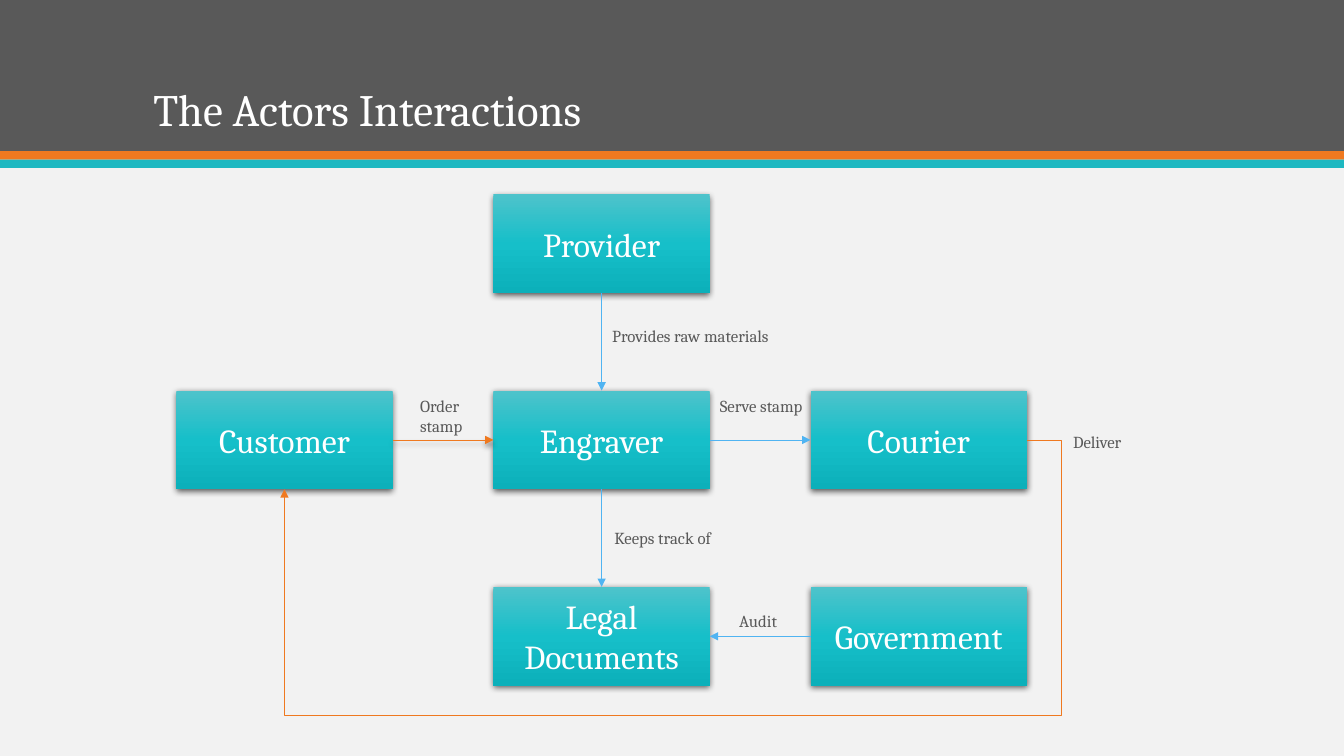
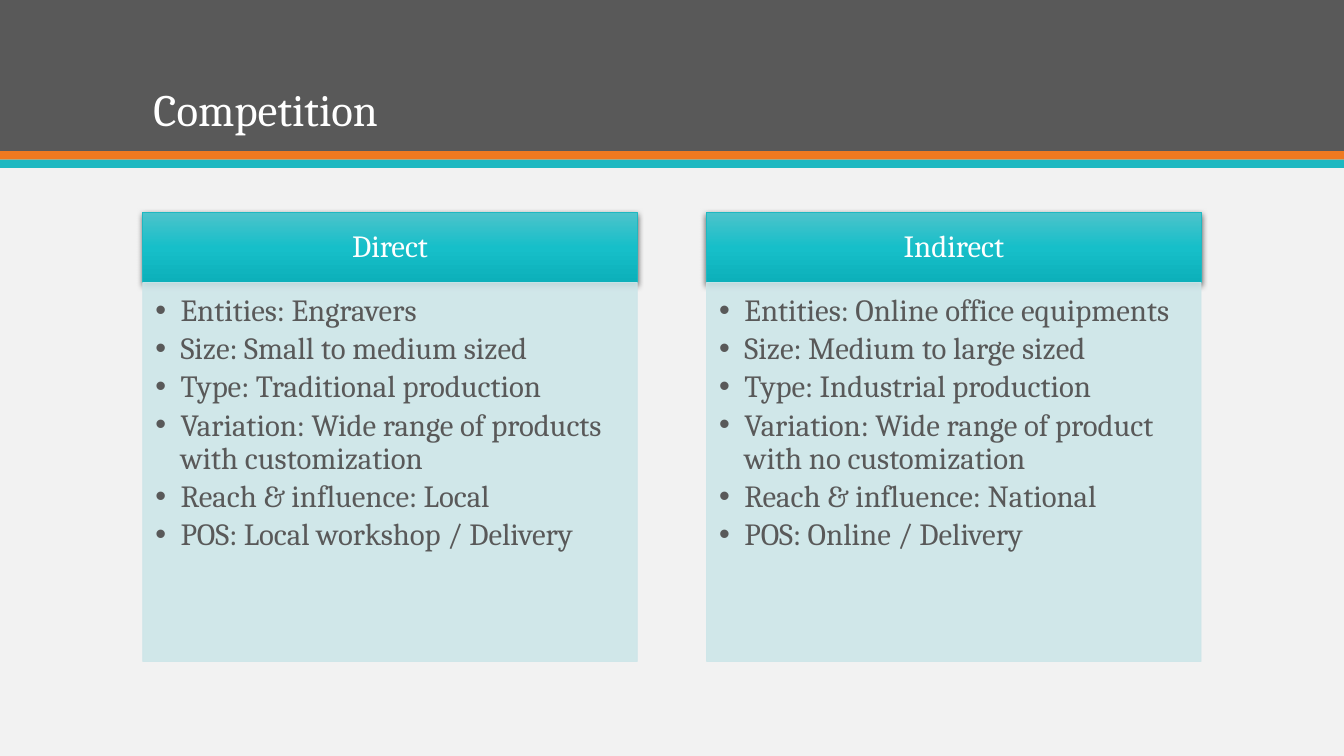
from copy import deepcopy
from dataclasses import dataclass

from lxml import etree
from pptx import Presentation
from pptx.dml.color import RGBColor
from pptx.enum.shapes import MSO_CONNECTOR, MSO_SHAPE
from pptx.enum.text import MSO_ANCHOR, PP_ALIGN
from pptx.oxml.ns import qn
from pptx.util import Emu, Pt

RECT = MSO_SHAPE.RECTANGLE
STRAIGHT, ELBOW = MSO_CONNECTOR.STRAIGHT, MSO_CONNECTOR.ELBOW
LEFT, CENTER = PP_ALIGN.LEFT, PP_ALIGN.CENTER
TOP, MIDDLE, BOTTOM = MSO_ANCHOR.TOP, MSO_ANCHOR.MIDDLE, MSO_ANCHOR.BOTTOM
SITE_TOP, SITE_LEFT, SITE_BOTTOM, SITE_RIGHT = range(4)

FONT = "Cambria"
GREY, ORANGE, TEAL, BLUE = "595959", "EF7920", "1EB8C1", "50B4F2"
WHITE, PAPER, MIST = "FFFFFF", "F2F2F2", "CDE6E9"
GRADIENT = ((0, "4EC3CB"), (0.5, "16BFC9"), (1, "0CB0BA"))
BANDS = ((0, 144, GREY), (144, 8, ORANGE), (152, 8, TEAL))
SLIDE_W, SLIDE_H = 1280, 720

GRID_X, GRID_Y, STEP_X, STEP_Y = 168, 185, 302, 187
BOX_W, BOX_H = 206, 94
LOOP_X, LOOP_Y = 1011, 681

PANEL_X, PANEL_Y, PANEL_STEP, PANEL_W = 136, 202, 537, 471
HEAD_H, BODY_H = 67, 361


@dataclass(frozen=True)
class Actor:
    name: str
    col: int
    row: int


@dataclass(frozen=True)
class Link:
    start: str
    start_site: int
    end: str
    end_site: int
    color: str = BLUE
    shadow: bool = False


@dataclass(frozen=True)
class Label:
    lines: tuple[str, ...]
    x: int
    y: int
    w: int
    h: int
    align: PP_ALIGN = LEFT


@dataclass(frozen=True)
class Panel:
    heading: str
    points: tuple[str, ...]


ACTORS = (
    Actor("Provider", 1, 0),
    Actor("Customer", 0, 1),
    Actor("Engraver", 1, 1),
    Actor("Legal Documents", 1, 2),
    Actor("Courier", 2, 1),
    Actor("Government", 2, 2),
)
LINKS = (
    Link("Provider", SITE_BOTTOM, "Engraver", SITE_TOP),
    Link("Customer", SITE_RIGHT, "Engraver", SITE_LEFT, ORANGE, True),
    Link("Engraver", SITE_RIGHT, "Courier", SITE_LEFT),
    Link("Engraver", SITE_BOTTOM, "Legal Documents", SITE_TOP),
    Link("Government", SITE_LEFT, "Legal Documents", SITE_RIGHT),
)
DELIVERY = Link("Courier", SITE_RIGHT, "Customer", SITE_BOTTOM, ORANGE)
LABELS = (
    Label(("Provides raw materials",), 573, 305, 185, 29),
    Label(("Order", "stamp"), 390, 372, 63, 48),
    Label(("Serve stamp",), 674, 372, 102, 48, CENTER),
    Label(("Deliver",), 1012, 406, 100, 40),
    Label(("Keeps track of",), 575, 498, 167, 40),
    Label(("Audit",), 694, 577, 61, 29),
)
PANELS = (
    Panel("Direct", (
        "Entities: Engravers",
        "Size: Small to medium sized",
        "Type: Traditional production",
        "Variation: Wide range of products with customization",
        "Reach & influence: Local",
        "POS: Local workshop / Delivery",
    )),
    Panel("Indirect", (
        "Entities: Online office equipments",
        "Size: Medium to large sized",
        "Type: Industrial production",
        "Variation: Wide range of product with no customization",
        "Reach & influence: National",
        "POS: Online / Delivery",
    )),
)


def px(n: int) -> Emu:
    return Emu(n * 9525)


def rgb(value: str) -> RGBColor:
    return RGBColor.from_string(value)


def add_xml(parent, tag: str, **attrs):
    return etree.SubElement(parent, qn(tag), {k: str(v) for k, v in attrs.items()})


def add_shadow(effects, blur: float, dist: float, alpha: int) -> None:
    shadow = add_xml(effects, "a:outerShdw", blurRad=Pt(blur), dist=Pt(dist),
                     dir=5400000, algn="ctr", rotWithShape=0)
    color = add_xml(shadow, "a:srgbClr", val="000000")
    add_xml(color, "a:alpha", val=alpha * 1000)


def write(sp, lines, *, size: int, color: str = WHITE, align=CENTER, anchor=MIDDLE,
          insets=(10, 5, 10, 5), spacing: float = 1.0, after: float = 0,
          bullet: bool = False) -> None:
    tf = sp.text_frame
    tf.word_wrap = True
    tf.vertical_anchor = anchor
    tf.margin_left, tf.margin_top, tf.margin_right, tf.margin_bottom = map(px, insets)
    for i, line in enumerate(lines):
        p = tf.add_paragraph() if i else tf.paragraphs[0]
        p.alignment = align
        p.line_spacing = spacing
        p.space_after = Pt(after)
        if bullet:
            pPr = p._p.get_or_add_pPr()
            pPr.set("marL", str(px(24)))
            pPr.set("indent", str(px(-24)))
            add_xml(pPr, "a:buFont", typeface="Arial")
            add_xml(pPr, "a:buChar", char="•")
        r = p.add_run()
        r.text = line
        r.font.name = FONT
        r.font.size = Pt(size)
        r.font.color.rgb = rgb(color)


def add_text(s, lines, x: int, y: int, w: int, h: int, **fmt) -> None:
    write(s.shapes.add_textbox(px(x), px(y), px(w), px(h)), lines, **fmt)


def add_rect(s, x: int, y: int, w: int, h: int, fill: str, line: str = ""):
    sp = s.shapes.add_shape(RECT, px(x), px(y), px(w), px(h))
    sp.fill.solid()
    sp.fill.fore_color.rgb = rgb(fill)
    if line:
        sp.line.color.rgb = rgb(line)
        sp.line.width = Pt(0.5)
    else:
        sp.line.fill.background()
    sp.shadow.inherit = False
    return sp


def add_glossy(s, x: int, y: int, w: int, h: int, line: str = ""):
    sp = add_rect(s, x, y, w, h, TEAL, line)
    sp.fill.gradient()
    sp.fill.gradient_angle = 270
    spPr = sp._element.spPr
    stops = spPr.find(qn("a:gradFill")).find(qn("a:gsLst"))
    stops.insert(1, deepcopy(stops[0]))
    for stop, (position, color) in zip(sp.fill.gradient_stops, GRADIENT):
        stop.position = position
        stop.color.rgb = rgb(color)
    add_shadow(spPr.find(qn("a:effectLst")), 4.5, 1.5, 63)
    return sp


def add_link(s, boxes: dict, link: Link, kind=STRAIGHT):
    cxn = s.shapes.add_connector(kind, 0, 0, 0, 0)
    cxn.begin_connect(boxes[link.start], link.start_site)
    cxn.end_connect(boxes[link.end], link.end_site)
    cxn.line.color.rgb = rgb(link.color)
    cxn.line.width = Pt(0.5)
    spPr = cxn._element.spPr
    add_xml(spPr.find(qn("a:ln")), "a:tailEnd", type="triangle")
    effects = add_xml(spPr, "a:effectLst")
    if link.shadow:
        add_shadow(effects, 4, 3, 40)
    return cxn


def add_loop(s, boxes: dict, link: Link) -> None:
    cxn = add_link(s, boxes, link, ELBOW)
    across = (px(LOOP_X) - cxn.begin_x) / (cxn.end_x - cxn.begin_x)
    down = (px(LOOP_Y) - cxn.begin_y) / (cxn.end_y - cxn.begin_y)
    geom = cxn._element.spPr.find(qn("a:prstGeom"))
    geom.set("prst", "bentConnector4")
    guides = geom.find(qn("a:avLst"))
    for i, ratio in enumerate((across, down), 1):
        add_xml(guides, "a:gd", name=f"adj{i}", fmla=f"val {round(ratio * 100000)}")


def add_slide(prs, title: str):
    s = prs.slides.add_slide(prs.slide_layouts[6])
    s.background.fill.solid()
    s.background.fill.fore_color.rgb = rgb(PAPER)
    for y, h, color in BANDS:
        add_rect(s, 0, y, SLIDE_W, h, color)
    add_text(s, (title,), 136, 27, 1008, 108, size=32, align=LEFT,
             anchor=BOTTOM, spacing=0.9)
    return s


def add_panel(s, panel: Panel, x: int) -> None:
    head = add_glossy(s, x, PANEL_Y, PANEL_W, HEAD_H, TEAL)
    write(head, (panel.heading,), size=22, insets=(16, 10, 16, 10), spacing=0.9)
    body = add_rect(s, x, PANEL_Y + HEAD_H, PANEL_W, BODY_H, MIST, MIST)
    for color in body._element.spPr.iter(qn("a:srgbClr")):
        add_xml(color, "a:alpha", val=90000)
    write(body, panel.points, size=22, color=GREY, align=LEFT, anchor=TOP,
          insets=(12, 12, 16, 18), spacing=0.9, after=3.5, bullet=True)


def build_interactions(prs) -> None:
    s = add_slide(prs, "The Actors Interactions")
    boxes = {}
    for actor in ACTORS:
        sp = add_glossy(s, GRID_X + actor.col * STEP_X, GRID_Y + actor.row * STEP_Y,
                        BOX_W, BOX_H)
        write(sp, (actor.name,), size=24)
        boxes[actor.name] = sp
    for link in LINKS:
        add_link(s, boxes, link)
    add_loop(s, boxes, DELIVERY)
    for label in LABELS:
        add_text(s, label.lines, label.x, label.y, label.w, label.h, size=12,
                 color=GREY, align=label.align, anchor=TOP)


def build_competition(prs) -> None:
    s = add_slide(prs, "Competition")
    for i, panel in enumerate(PANELS):
        add_panel(s, panel, PANEL_X + i * PANEL_STEP)


def main() -> None:
    prs = Presentation()
    prs.slide_width, prs.slide_height = px(SLIDE_W), px(SLIDE_H)
    build_interactions(prs)
    build_competition(prs)
    prs.save("out.pptx")


if __name__ == "__main__":
    main()
